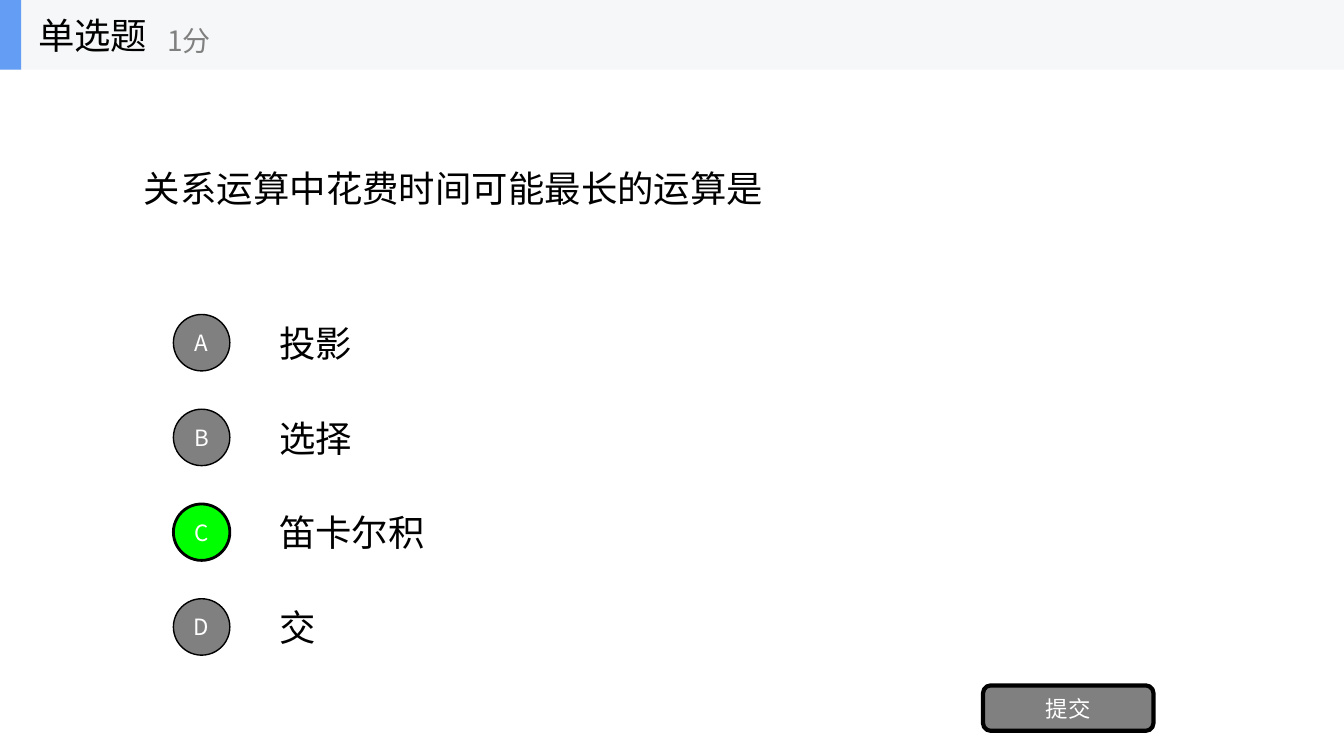
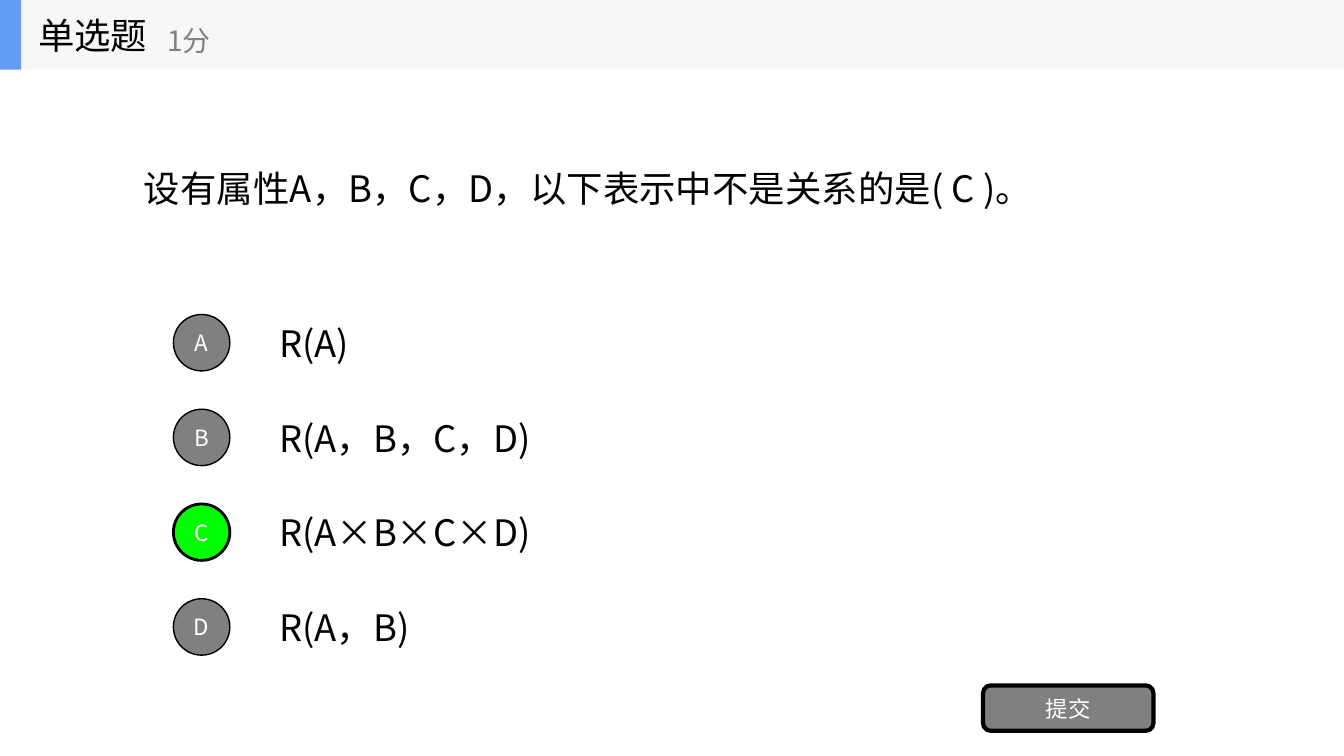
from dataclasses import dataclass

from lxml.etree import SubElement
from pptx import Presentation
from pptx.dml.color import RGBColor
from pptx.enum.shapes import MSO_SHAPE as SHAPE
from pptx.enum.text import MSO_ANCHOR as ANCHOR, PP_ALIGN as ALIGN
from pptx.oxml.ns import qn
from pptx.util import Inches, Pt


@dataclass(frozen=True)
class Theme:
    font: str = "Noto Sans CJK SC"
    ink: str = "000000"
    muted: str = "808080"
    white: str = "FFFFFF"
    correct: str = "00FF00"
    band: str = "F6F7F8"
    accent: str = "639EF4"
    body_size: int = 26
    score_size: int = 20
    label_size: int = 16


THEME = Theme()
SLIDE_W, SLIDE_H = 13.33, 7.5
HEADER_H = 0.69

QUESTIONS = [
    ("关系运算中花费时间可能最长的运算是",
     ["投影", "选择", "笛卡尔积", "交"], "C"),
    ("设有属性A，B，C，D，以下表示中不是关系的是( C )。",
     ["R(A)", "R(A，B，C，D)", "R(A×B×C×D)", "R(A，B)"], "C"),
]


def write(shape, text, size, color, align=ALIGN.LEFT):
    frame = shape.text_frame
    frame.word_wrap = True
    frame.vertical_anchor = ANCHOR.MIDDLE
    paragraph = frame.paragraphs[0]
    paragraph.alignment = align
    run = paragraph.add_run()
    run.text = text
    run.font.size = Pt(size)
    run.font.color.rgb = RGBColor.from_string(color)
    run.font.name = THEME.font
    # The East Asian typeface has no public setter.
    SubElement(run.font._element, qn("a:ea"), typeface=THEME.font)


def add_text(shapes, box, text, size=THEME.body_size, color=THEME.ink):
    write(shapes.add_textbox(*map(Inches, box)), text, size, color)


def add_block(shapes, kind, box, fill, line_width=0):
    block = shapes.add_shape(kind, *map(Inches, box))
    block.shadow.inherit = False
    block.fill.solid()
    block.fill.fore_color.rgb = RGBColor.from_string(fill)
    if line_width:
        block.line.color.rgb = RGBColor.from_string(THEME.ink)
        block.line.width = Pt(line_width)
    else:
        block.line.fill.background()
    return block


def add_control(shapes, kind, box, label, fill, line_width):
    """Add an outlined answer badge or button with a centred label."""
    control = add_block(shapes, kind, box, fill, line_width)
    frame = control.text_frame
    frame.margin_left = frame.margin_right = 0
    frame.margin_top = frame.margin_bottom = 0
    write(control, label, THEME.label_size, THEME.white, ALIGN.CENTER)


def add_header(slide, box, title, score):
    left, top, width, height = box
    shapes = slide.shapes.add_group_shape().shapes
    add_block(shapes, SHAPE.RECTANGLE, box, THEME.band)
    add_block(shapes, SHAPE.RECTANGLE, (left, top, 0.21, height), THEME.accent)
    add_text(shapes, (left + 0.28, top, 2.08, height), title)
    add_text(shapes, (left + 1.56, top + 0.12, 2.5, 0.56), score,
             THEME.score_size, THEME.muted)


def add_options(slide, box, options, answer):
    """Stack lettered options at an equal pitch, marking the answer."""
    left, top, width, row_height = box
    pitch, badge, text_offset = 0.94, 0.56, 0.95
    for index, (letter, option) in enumerate(zip("ABCD", options)):
        row_top = top + index * pitch
        add_text(slide.shapes, (left + text_offset, row_top,
                                width - text_offset, row_height), option)
        badge_top = row_top + (row_height - badge) / 2
        fill, line_width = ((THEME.correct, 2) if letter == answer
                            else (THEME.muted, 1))
        add_control(slide.shapes, SHAPE.OVAL, (left, badge_top, badge, badge),
                    letter, fill, line_width)


def add_question_slide(deck, question, options, answer):
    slide = deck.slides.add_slide(deck.slide_layouts[6])
    add_text(slide.shapes, (1.33, HEADER_H, 10.67, 2.34), question)
    add_options(slide, (1.72, 3.05, 10.28, 0.7), options, answer)
    add_control(slide.shapes, SHAPE.ROUNDED_RECTANGLE, (9.75, 6.8, 1.69, 0.45),
                "提交", THEME.muted, 3)
    add_header(slide, (0, 0, SLIDE_W, HEADER_H), "单选题", "1分")


def main():
    deck = Presentation()
    deck.slide_width, deck.slide_height = Inches(SLIDE_W), Inches(SLIDE_H)
    for question, options, answer in QUESTIONS:
        add_question_slide(deck, question, options, answer)
    deck.save("out.pptx")


if __name__ == "__main__":
    main()
